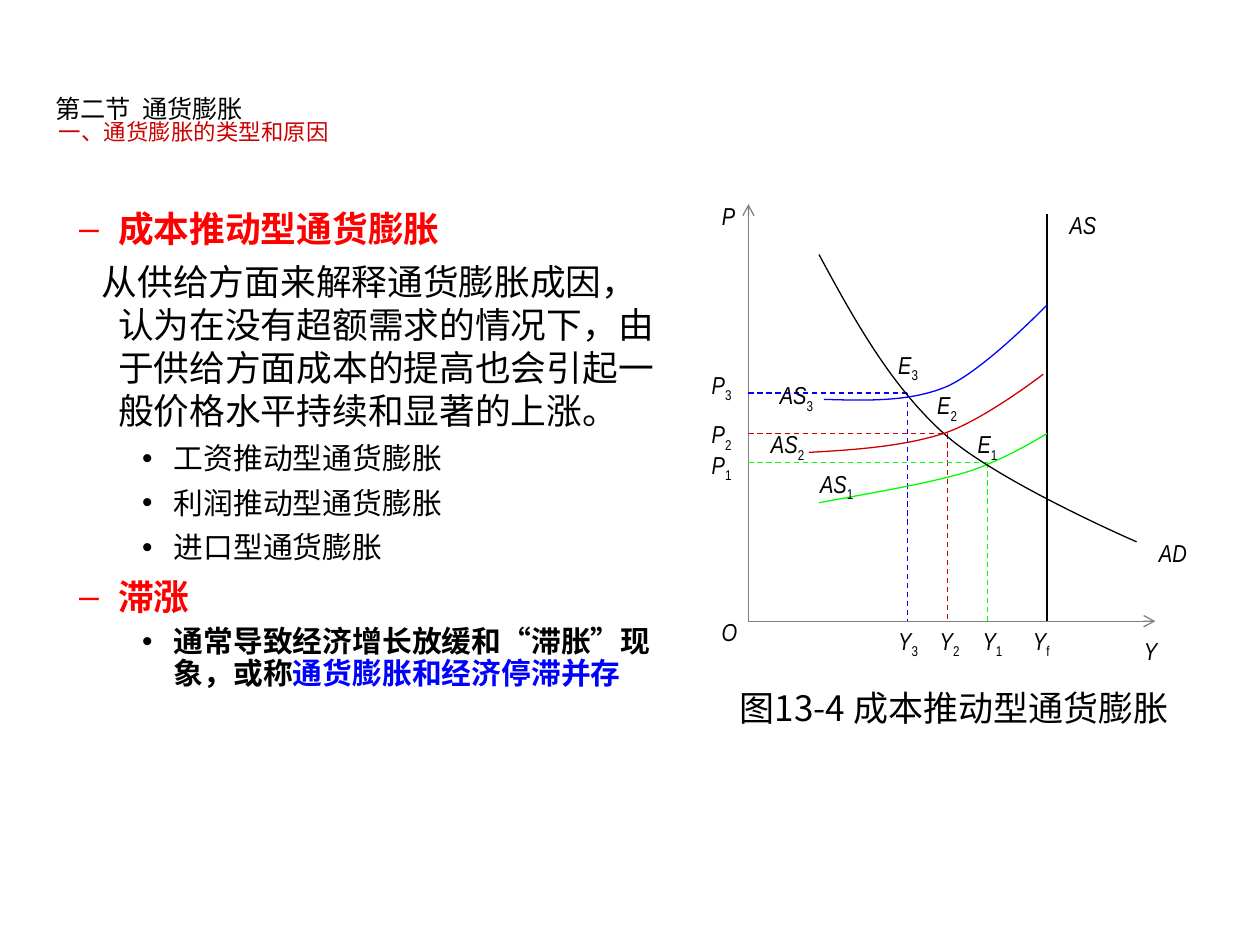
from dataclasses import dataclass

import pptx
import pptx.dml.color
import pptx.enum.dml
import pptx.enum.shapes
import pptx.oxml.ns
import pptx.util
from lxml import etree
from pptx.util import Inches

COLORS = {
    "black": "000000", "axis": "7F7F7F", "heading": "FF0000",
    "blue": "0000FF", "red": "CC0000", "green": "00FF00",
}
CJK_FONT = "Noto Sans CJK SC"
LABEL_FONT = "Arial Narrow"
ORIGIN = (5.94, 4.93)
FULL_OUTPUT_X = 8.31


@dataclass
class Span:
    text: str
    size: float
    color: str = "black"
    font: str = "Arial"
    bold: bool = False
    italic: bool = False
    subscript: bool = False
    tracking: float = 0


@dataclass
class Para:
    spans: list[Span]
    margin: float = 0
    indent: float = 0
    before: float = 0
    spacing: float = 1
    bullet: str = ""
    bullet_color: str = "black"


@dataclass
class Label:
    name: str
    left: float
    top: float
    width: float
    index: str = ""


@dataclass
class Curve:
    """A start point, then two control points and an end point per segment."""
    color: str
    start: tuple[float, float]
    points: list[tuple[float, float]]


@dataclass
class Equilibrium:
    color: str
    x: float
    y: float


def rgb(color: str) -> pptx.dml.color.RGBColor:
    return pptx.dml.color.RGBColor.from_string(COLORS[color])


def add_child(parent, tag: str, **attributes: str):
    return etree.SubElement(parent, pptx.oxml.ns.qn(tag), attributes)


def set_attributes(target, values: dict) -> None:
    for name, value in values.items():
        setattr(target, name, value)


def add_span(para, item: Span) -> None:
    span = para.add_run()
    span.text = item.text
    set_attributes(span.font, {
        "size": pptx.util.Pt(item.size), "name": item.font,
        "bold": item.bold, "italic": item.italic,
    })
    span.font.color.rgb = rgb(item.color)
    properties = span.font._element
    add_child(properties, "a:ea", typeface=CJK_FONT)
    if item.subscript:
        properties.set("baseline", "-25000")
    if item.tracking:
        properties.set("spc", str(round(item.tracking * 100)))


def add_text(slide, left: float, top: float, width: float, height: float,
             paras: list[Para], inset_left: float = 0.1, inset_top: float = 0.05) -> None:
    box = slide.shapes.add_textbox(*map(Inches, (left, top, width, height)))
    set_attributes(box.text_frame, {
        "word_wrap": True, "margin_left": Inches(inset_left), "margin_top": Inches(inset_top),
    })
    for number, item in enumerate(paras):
        para = box.text_frame.add_paragraph() if number else box.text_frame.paragraphs[0]
        set_attributes(para, {
            "line_spacing": item.spacing, "space_before": pptx.util.Pt(item.before),
        })
        properties = para._p.get_or_add_pPr()
        properties.set("marL", str(Inches(item.margin)))
        properties.set("indent", str(Inches(item.indent)))
        if item.bullet:
            color = add_child(properties, "a:buClr")
            add_child(color, "a:srgbClr", val=COLORS[item.bullet_color])
            add_child(properties, "a:buFont", typeface="Arial")
            add_child(properties, "a:buChar", char=item.bullet)
        for span in item.spans:
            add_span(para, span)


def add_label(slide, label: Label) -> None:
    spans = [Span(label.name, 14, font=LABEL_FONT, italic=True)]
    if label.index:
        spans.append(Span(label.index, 14, font=LABEL_FONT, subscript=True))
    add_text(slide, label.left, label.top, label.width, 0.37 if label.index else 0.34, [Para(spans)])


def add_line(slide, start: tuple[float, float], end: tuple[float, float], color: str,
             dashed: bool = False, arrow: bool = False) -> None:
    line = slide.shapes.add_connector(
        pptx.enum.shapes.MSO_CONNECTOR.STRAIGHT, *map(Inches, (*start, *end)))
    line.line.width = pptx.util.Pt(0.75)
    line.line.color.rgb = rgb(color)
    if dashed:
        line.line.dash_style = pptx.enum.dml.MSO_LINE.DASH
    if arrow:
        add_child(line.line._get_or_add_ln(), "a:tailEnd", type="arrow")
    add_child(line._element.spPr, "a:effectLst")


def add_curve(slide, curve: Curve) -> None:
    """Build the outline from its points, then turn each three into one Bezier segment."""
    builder = slide.shapes.build_freeform(*map(Inches, curve.start))
    builder.add_line_segments([(Inches(x), Inches(y)) for x, y in curve.points], close=False)
    shape = builder.convert_to_shape()
    shape.shadow.inherit = False
    shape.fill.background()
    shape.line.width = pptx.util.Pt(0.75)
    shape.line.color.rgb = rgb(curve.color)
    outline = next(shape._element.iter(pptx.oxml.ns.qn("a:path")))
    steps = outline.findall(pptx.oxml.ns.qn("a:lnTo"))
    for first in range(0, len(steps), 3):
        segment = add_child(outline, "a:cubicBezTo")
        for step in steps[first:first + 3]:
            segment.append(step[0])
            outline.remove(step)


def heading(text: str, before: float = 0) -> Para:
    return Para([Span(text, 20.4, "heading", bold=True)], 0.81, -0.31, before, 1, "–", "heading")


def bullet(spans: list[Span], spacing: float = 1) -> Para:
    return Para(spans, 1.25, -0.25, 5, spacing, "•")


TITLE = [
    Para([Span("第二节", 14.4, font=CJK_FONT), Span(" ", 14.4, font=CJK_FONT, tracking=3.2),
          Span("通货膨胀", 14.4, font=CJK_FONT)], spacing=0.8),
    Para([Span("一、通货膨胀的类型和原因", 12.8, "red", CJK_FONT)], margin=0.03, spacing=0.8),
]
EXPLANATION = "从供给方面来解释通货膨胀成因，认为在没有超额需求的情况下，由于供给方面成本的提高也会引起一般价格水平持续和显著的上涨。"
BODY = [
    heading("成本推动型通货膨胀"),
    Para([Span(EXPLANATION, 20.4)], 0.81, -0.13, 6),
    *(bullet([Span(kind, 17)]) for kind in ("工资推动型通货膨胀", "利润推动型通货膨胀", "进口型通货膨胀")),
    heading("滞涨", 6),
    bullet([
        Span("通常导致经济增长放缓和“滞胀”现象，或称", 17, font="Times New Roman", bold=True),
        Span("通货膨胀和经济停滞并存", 17, "blue", "Times New Roman", bold=True),
    ], 0.9),
]
CURVES = [
    Curve("green", (6.5, 3.99), [(6.93, 3.91), (7.35, 3.84), (7.66, 3.75),
                                 (7.96, 3.66), (8.31, 3.44), (8.31, 3.44)]),
    Curve("black", (6.5, 2.02), [(6.78, 2.54), (7.07, 3.06), (7.49, 3.44),
                                 (7.91, 3.82), (9.02, 4.3), (9.02, 4.3)]),
    Curve("red", (6.42, 3.59), [(6.8, 3.57), (7.18, 3.54), (7.49, 3.44),
                                (7.8, 3.34), (8.28, 2.97), (8.28, 2.97)]),
    Curve("blue", (6.54, 3.17), [(6.88, 3.18), (7.22, 3.19), (7.51, 3.07),
                                 (7.81, 2.94), (8.31, 2.42), (8.31, 2.42)]),
]
EQUILIBRIA = [Equilibrium("blue", 7.2, 3.12), Equilibrium("red", 7.52, 3.44),
              Equilibrium("green", 7.84, 3.67)]
LABELS = [
    Label("O", 5.63, 4.85, 0.47), Label("AD", 9.1, 4.22, 0.9), Label("P", 5.63, 1.55, 0.55),
    Label("AS", 8.39, 1.62, 0.71), Label("Y", 8.98, 5, 0.63),
    Label("P", 5.55, 3.52, 0.47, "1"), Label("P", 5.55, 3.28, 0.63, "2"), Label("P", 5.55, 2.89, 0.7, "3"),
    Label("AS", 6.41, 3.67, 0.78, "1"), Label("AS", 6.02, 3.36, 0.86, "2"), Label("AS", 6.09, 2.97, 0.55, "3"),
    Label("E", 7.66, 3.36, 0.62, "1"), Label("E", 7.34, 3.05, 0.94, "2"), Label("E", 7.03, 2.73, 0.78, "3"),
    Label("Y", 7.03, 4.92, 0.47, "3"), Label("Y", 7.36, 4.92, 0.47, "2"),
    Label("Y", 7.7, 4.92, 0.47, "1"), Label("Y", 8.1, 4.92, 0.47, "f"),
]


def main() -> None:
    deck = pptx.Presentation()
    set_attributes(deck, {"slide_width": Inches(10), "slide_height": Inches(7.5)})
    slide = deck.slides.add_slide(deck.slide_layouts[6])
    add_text(slide, 0.34, 0.52, 9, 0.94, TITLE, inset_top=0.27)
    add_text(slide, 0.03, 1.59, 5.27, 5.23, BODY)
    add_text(slide, 5.71, 5.4, 3.98, 0.77,
             [Para([Span("图13-4 成本推动型通货膨胀", 20, font=CJK_FONT)])], inset_left=0.16)
    for axis_end in ((9.17, ORIGIN[1]), (ORIGIN[0], 1.62)):
        add_line(slide, ORIGIN, axis_end, "axis", arrow=True)
    add_line(slide, (FULL_OUTPUT_X, 1.7), (FULL_OUTPUT_X, ORIGIN[1]), "black")
    for point in EQUILIBRIA:
        add_line(slide, (ORIGIN[0], point.y), (point.x, point.y), point.color, dashed=True)
        add_line(slide, (point.x, point.y), (point.x, ORIGIN[1]), point.color, dashed=True)
    for curve in CURVES:
        add_curve(slide, curve)
    for label in LABELS:
        add_label(slide, label)
    deck.save("out.pptx")


if __name__ == "__main__":
    main()
